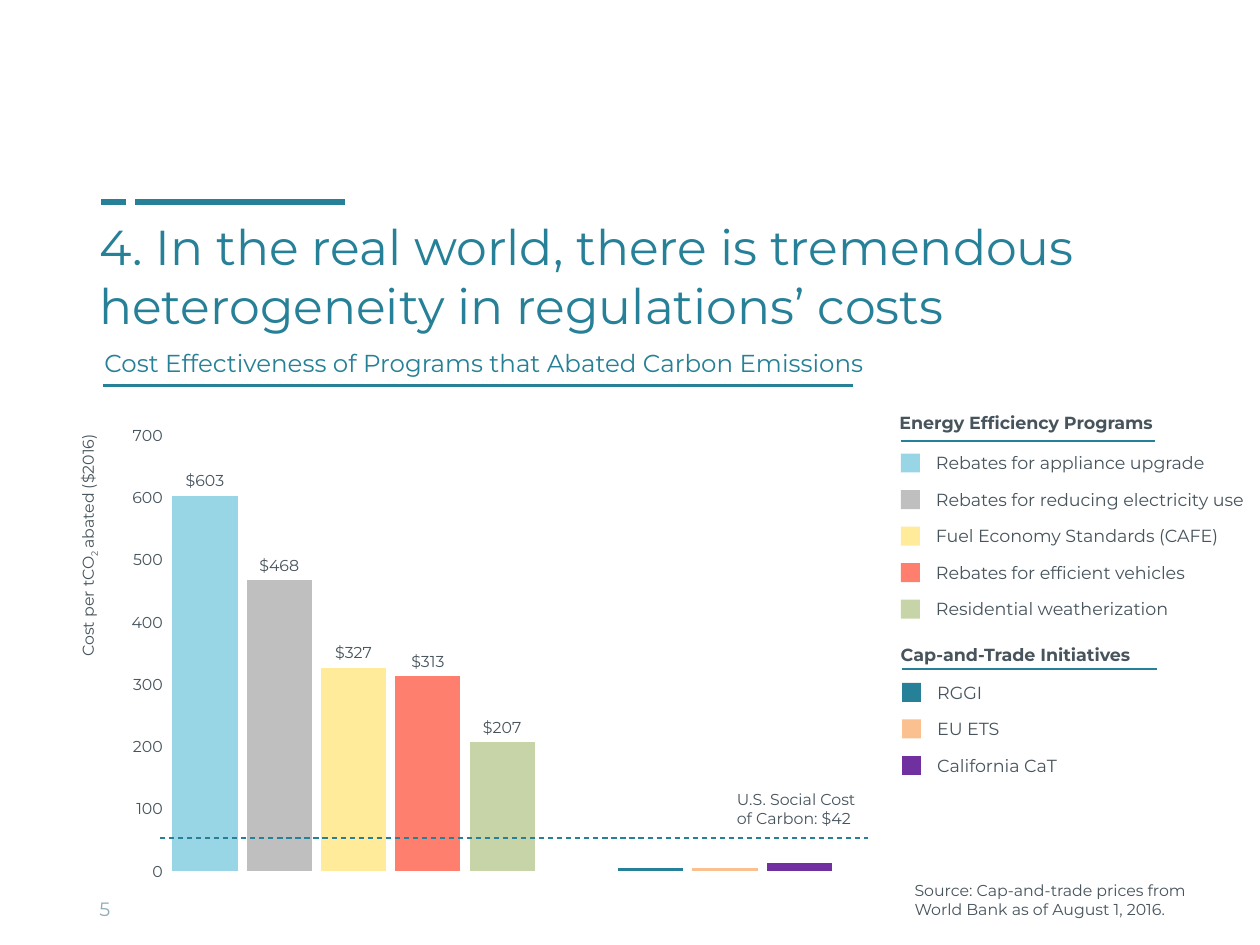
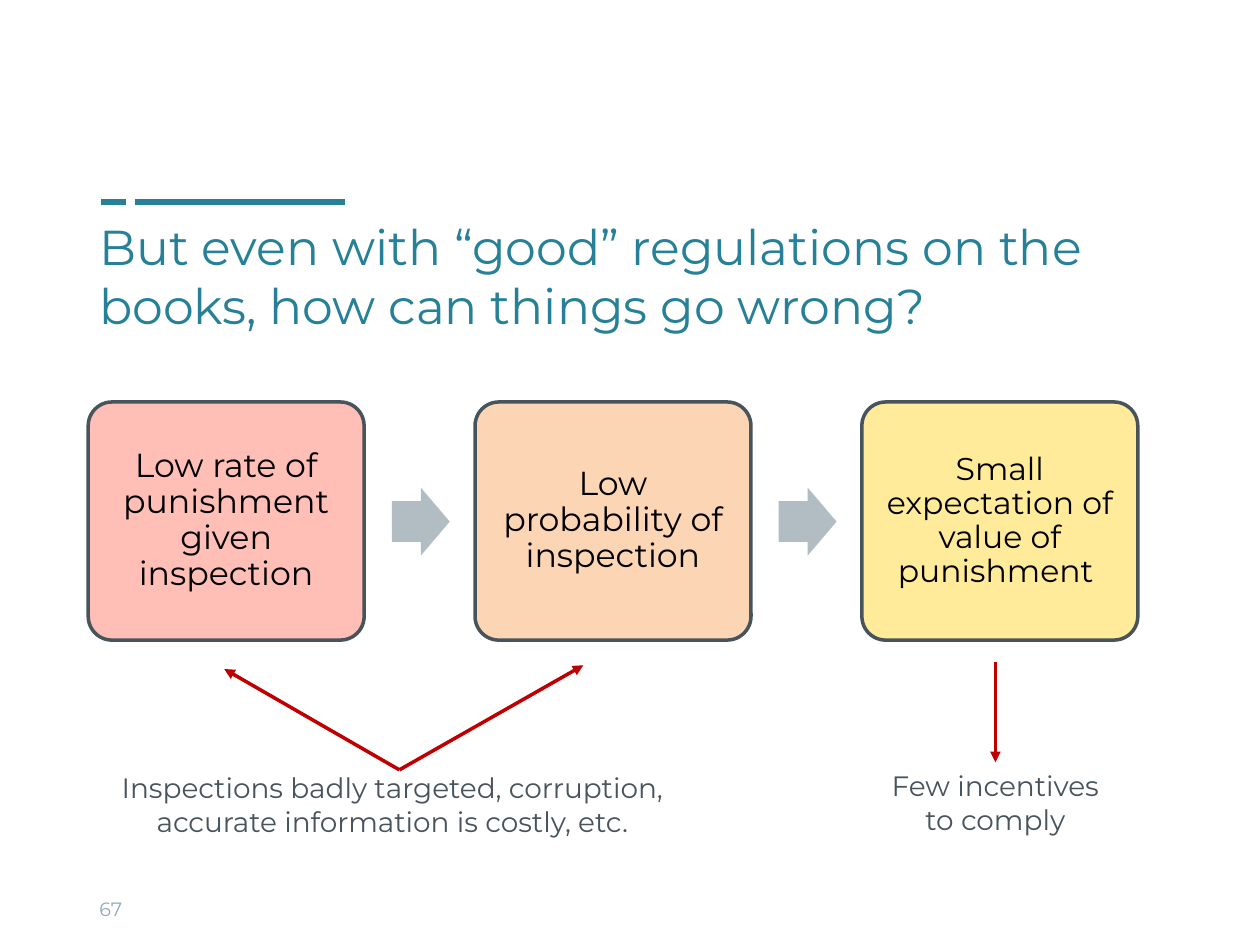
from lxml.etree import SubElement
from pptx import Presentation
from pptx.chart.data import CategoryChartData
from pptx.dml.color import RGBColor
from pptx.enum.chart import XL_CHART_TYPE as ChartType
from pptx.enum.chart import XL_LABEL_POSITION as LabelPosition
from pptx.enum.chart import XL_TICK_MARK as TickMark
from pptx.enum.dml import MSO_LINE as Dash
from pptx.enum.shapes import MSO_CONNECTOR as Connector
from pptx.enum.shapes import MSO_SHAPE as Shape
from pptx.enum.text import MSO_ANCHOR as Anchor
from pptx.enum.text import PP_ALIGN as Align
from pptx.oxml.ns import qn
from pptx.util import Inches, Pt

FONT = "Montserrat"
TEAL, SLATE, MIST, BLACK = "268097", "47545C", "8EACB8", "000000"
SKY, SILVER, YELLOW, CORAL, SAGE = "98D6E5", "BFBFBF", "FFEB99", "FF7F6E", "C7D4A7"
ORANGE, PURPLE, RED, ARROW_GRAY = "FAC090", "7030A0", "C00000", "B1BCC3"
PINK, PEACH = "FFBFB7", "FCD5B5"

EFFICIENCY_PROGRAMS = [
    ("Rebates for appliance upgrade", SKY),
    ("Rebates for reducing electricity use", SILVER),
    ("Fuel Economy Standards (CAFE)", YELLOW),
    ("Rebates for efficient vehicles", CORAL),
    ("Residential weatherization", SAGE),
]
TRADE_INITIATIVES = [("RGGI", TEAL), ("EU ETS", ORANGE), ("California CaT", PURPLE)]
COSTS = [603, 468, 327, 313, 207, None, 5, 5, 13]
BAR_COLORS = [SKY, SILVER, YELLOW, CORAL, SAGE, None, TEAL, ORANGE, PURPLE]
LABELED_BARS = 5
STEPS = [
    ("Low rate of punishment given inspection", PINK, 19),
    ("Low probability of inspection", PEACH, 19),
    ("Small expectation of value of punishment ", YELLOW, 18),
]


def rgb(color):
    """Turn a hex string into a colour."""
    return RGBColor.from_string(color)


def style_font(font, size, color, bold=False):
    """Set the shared typeface with a size, colour and weight."""
    font.name, font.size, font.bold = FONT, Pt(size), bold
    font.color.rgb = rgb(color)


def add_text(page, place, text, size, color=SLATE, bold=False, align=Align.LEFT,
             anchor=Anchor.TOP):
    """Add a wrapped text box of one paragraph."""
    box = page.shapes.add_textbox(*map(Inches, place))
    frame = box.text_frame
    frame.text = text
    frame.word_wrap, frame.vertical_anchor = True, anchor
    para = frame.paragraphs[0]
    para.alignment = align
    style_font(para.runs[0].font, size, color, bold)
    return box


def add_shape(page, kind, place, fill, outline=None):
    """Add a filled shape with an optional two-point outline."""
    shape = page.shapes.add_shape(kind, *map(Inches, place))
    shape.shadow.inherit = False
    shape.fill.solid()
    shape.fill.fore_color.rgb = rgb(fill)
    if outline:
        shape.line.color.rgb = rgb(outline)
        shape.line.width = Pt(2)
    else:
        shape.line.fill.background()
    return shape


def add_line(page, start, end, color=TEAL, width=1.0, dash=None, arrow=False):
    """Add a straight line, optionally dashed or with an arrowhead at its end."""
    line = page.shapes.add_connector(Connector.STRAIGHT, *map(Inches, start + end))
    line.line.color.rgb = rgb(color)
    line.line.width = Pt(width)
    if dash:
        line.line.dash_style = dash
    if arrow:
        SubElement(line.line._get_or_add_ln(), qn("a:tailEnd"), type="triangle")
    SubElement(line._element.spPr, qn("a:effectLst"))
    return line


def add_page(deck, title, number):
    """Add a blank page with the accent bars, title and page number."""
    page = deck.slides.add_slide(deck.slide_layouts[6])
    for left, right in ((1.07, 2.74), (0.8, 1)):
        add_line(page, (left, 1.6), (right, 1.6), width=3.5)
    add_text(page, (0.69, 1.67, 8.33, 1.04), title, 28, TEAL)
    add_text(page, (0.69, 7.01, 2.33, 0.4), number, 11, MIST, anchor=Anchor.MIDDLE)
    return page


def add_legend(page, heading, left, top, rule_top, first_top, entries):
    """Add an underlined heading over rows of swatches with their names."""
    add_text(page, (left - 0.11, top, 2.49, 0.27), heading, 10, bold=True)
    add_line(page, (left, rule_top), (left + 2.02, rule_top))
    for row, (name, color) in enumerate(entries):
        row_top = first_top + 0.29 * row
        add_shape(page, Shape.RECTANGLE, (left, row_top + 0.06, 0.15, 0.15), color)
        add_text(page, (left + 0.18, row_top, 2.67, 0.27), name, 10)


def place_plot(chart, x, y, w, h):
    """Fix the inner plot area as fractions of the chart."""
    plot_area = chart._chartSpace.chart.plotArea
    layout = plot_area.find(qn("c:layout"))
    if layout is None:
        layout = SubElement(plot_area, qn("c:layout"))
        plot_area.insert(0, layout)
    manual = SubElement(layout, qn("c:manualLayout"))
    settings = (("layoutTarget", "inner"), ("xMode", "edge"), ("yMode", "edge"),
                ("x", x), ("y", y), ("w", w), ("h", h))
    for tag, value in settings:
        SubElement(manual, qn(f"c:{tag}"), val=str(value))


def add_cost_chart(page):
    """Add the column chart of cost per program."""
    data = CategoryChartData()
    data.categories = [str(index + 1) for index in range(len(COSTS))]
    data.add_series("Series 1", COSTS)
    place = map(Inches, (0.87, 3.21, 5.77, 3.8))
    chart = page.shapes.add_chart(ChartType.COLUMN_CLUSTERED, *place, data).chart
    chart.has_legend = chart.has_title = False
    style_font(chart.font, 10, TEAL)
    chart.category_axis.visible = False
    axis = chart.value_axis
    axis.minimum_scale, axis.maximum_scale, axis.major_unit = 0, 700, 100
    axis.has_major_gridlines = False
    axis.major_tick_mark = axis.minor_tick_mark = TickMark.NONE
    axis.format.line.fill.background()
    axis.tick_labels.number_format = "General"
    axis.tick_labels.number_format_is_linked = False
    style_font(axis.tick_labels.font, 9, SLATE)
    plot = chart.plots[0]
    plot.gap_width, plot.overlap, plot.vary_by_categories = 14, -27, False
    series = plot.series[0]
    series.invert_if_negative = False
    for index, color in enumerate(BAR_COLORS):
        if color:
            fill = series.points[index].format.fill
            fill.solid()
            fill.fore_color.rgb = rgb(color)
    for index in range(LABELED_BARS):
        label = series.points[index].data_label
        label.has_text_frame = False
        style_font(label.font, 9, SLATE)
        label.position = LabelPosition.OUTSIDE_END
    labels = series.data_labels
    labels.show_value = False
    for label in labels._element.findall(qn("c:dLbl")):
        number_format = SubElement(label, qn("c:numFmt"), formatCode='"$"#,##0',
                                   sourceLinked="0")
        label.find(qn("c:idx")).addnext(number_format)
    place_plot(chart, 0.08, 0.065, 0.92, 0.91)


def add_axis_title(page):
    """Add the rotated axis title with its subscript."""
    box = add_text(page, (-0.38, 4.11, 2.15, 0.25), "Cost per tCO", 9)
    box.rotation = 270
    para = box.text_frame.paragraphs[0]
    for text in ("2 ", "abated ($2016)"):
        span = para.add_run()
        span.text = text
        style_font(span.font, 9, SLATE)
    para.runs[1].font._element.set("baseline", "-25000")


def build_costs_page(deck):
    """Build the page comparing program costs."""
    page = add_page(deck, "4. In the real world, there is tremendous heterogeneity "
                    "in regulations’ costs", "5")
    add_text(page, (0.73, 2.71, 6.34, 0.35),
             "Cost Effectiveness of Programs that Abated Carbon Emissions", 14, TEAL)
    add_line(page, (0.82, 3.06), (6.77, 3.06), width=1.5)
    add_cost_chart(page)
    add_axis_title(page)
    add_line(page, (1.27, 6.65), (6.89, 6.65), width=0.75, dash=Dash.DASH)
    add_text(page, (5.75, 6.22, 1.23, 0.4), "U.S. Social Cost of Carbon: $42", 9)
    add_legend(page, "Energy Efficiency Programs", 7.15, 3.22, 3.5, 3.54,
               EFFICIENCY_PROGRAMS)
    add_legend(page, "Cap-and-Trade Initiatives", 7.16, 5.06, 5.31, 5.36,
               TRADE_INITIATIVES)
    add_text(page, (7.16, 6.94, 2.58, 0.37),
             "Source: Cap-and-trade prices from World Bank as of August 1, 2016.", 9)


def add_step(page, left, text, fill, size):
    """Add one rounded step box with centred text."""
    step = add_shape(page, Shape.ROUNDED_RECTANGLE, (left, 3.19, 2.19, 1.89), fill, SLATE)
    step.adjustments[0] = 0.1
    frame = step.text_frame
    frame.text = text
    frame.word_wrap, frame.vertical_anchor = True, Anchor.MIDDLE
    frame.margin_left = frame.margin_right = Inches(0.08)
    frame.margin_top = frame.margin_bottom = Inches(0.08)
    para = frame.paragraphs[0]
    para.alignment, para.line_spacing = Align.CENTER, 0.9
    style_font(para.runs[0].font, size, BLACK)


def build_enforcement_page(deck):
    """Build the page on how enforcement fails."""
    page = add_page(deck, "But even with “good” regulations on the books, "
                    "how can things go wrong?", "67")
    for index, (text, fill, size) in enumerate(STEPS):
        left = 0.7 + 3.07 * index
        add_step(page, left, text, fill, size)
        if index < len(STEPS) - 1:
            arrow = add_shape(page, Shape.RIGHT_ARROW, (left + 2.41, 3.87, 0.46, 0.54),
                              ARROW_GRAY)
            arrow.adjustments[0] = 0.6
    outcome = add_text(page, (6.86, 6.05, 2.08, 0.64), "Few incentives to comply", 16,
                       align=Align.CENTER)
    add_text(page, (0.69, 6.07, 4.85, 0.64), "Inspections badly targeted, corruption, "
             "accurate information is costly, etc.", 16, align=Align.CENTER)
    drop = add_line(page, (7.9, 5.25), (7.9, 6.05), RED, 2, arrow=True)
    drop.end_connect(outcome, 0)
    for target in ((1.78, 5.31), (4.63, 5.28)):
        add_line(page, (3.17, 6.11), target, RED, 2, arrow=True)


def main():
    """Build and save the deck."""
    deck = Presentation()
    deck.slide_width, deck.slide_height = Inches(10), Inches(7.5)
    build_costs_page(deck)
    build_enforcement_page(deck)
    deck.save("out.pptx")


if __name__ == "__main__":
    main()
